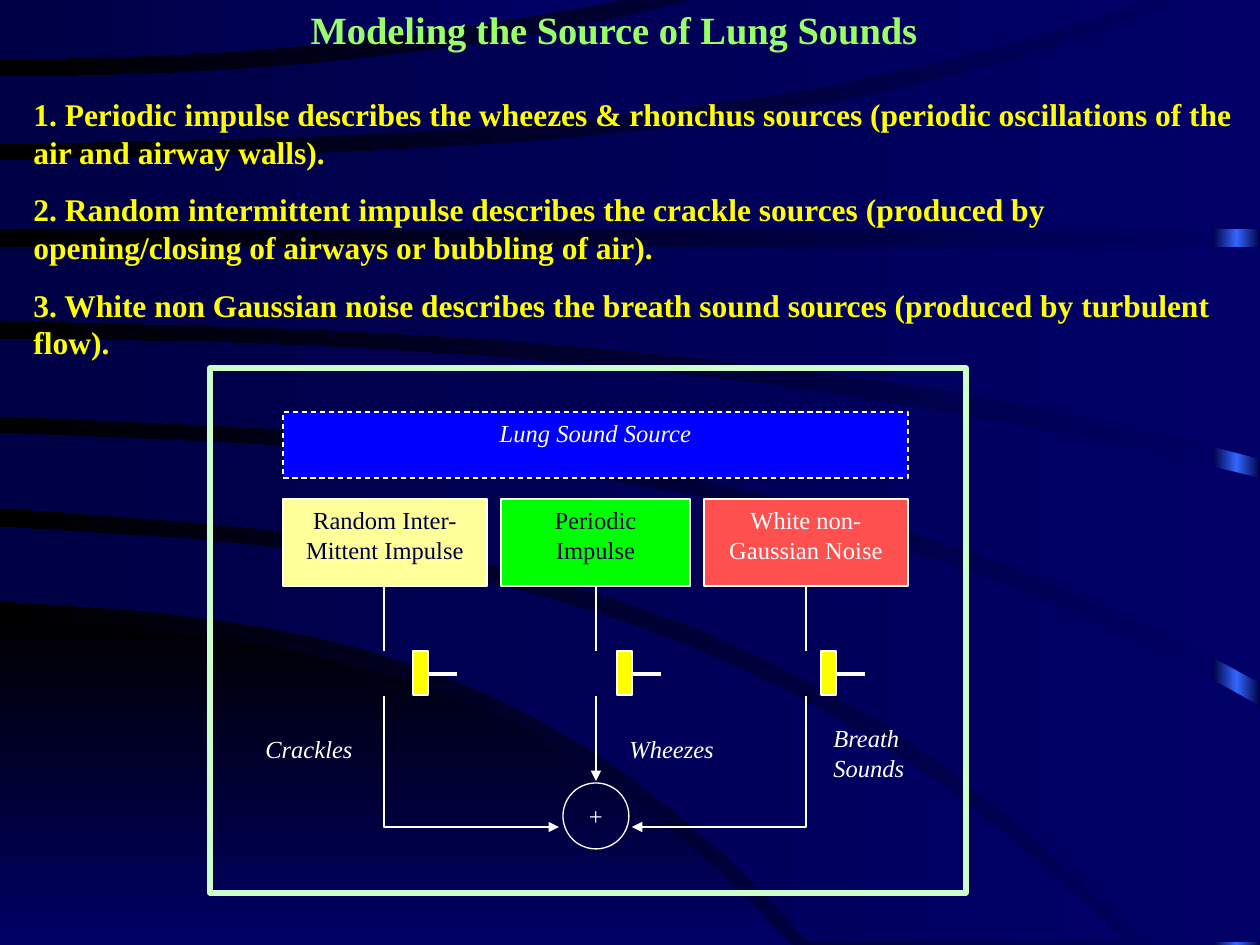
from copy import deepcopy

from pptx import Presentation
from pptx.dml.color import RGBColor
from pptx.enum.dml import MSO_LINE
from pptx.enum.shapes import MSO_CONNECTOR, MSO_SHAPE
from pptx.enum.text import MSO_ANCHOR, PP_ALIGN
from pptx.oxml.ns import qn
from pptx.util import Pt
from lxml import etree

RECT, OVAL, STRAIGHT = MSO_SHAPE.RECTANGLE, MSO_SHAPE.OVAL, MSO_CONNECTOR.STRAIGHT
DASH = MSO_LINE.DASH
TOP, MIDDLE = MSO_ANCHOR.TOP, MSO_ANCHOR.MIDDLE
LEFT, CENTER = PP_ALIGN.LEFT, PP_ALIGN.CENTER

FONT = "Times New Roman"
SCALE = 914400 / 126  # EMU in one px
W, H = 1260, 945
STEPS = 18  # straight pieces in each sweeping curve

BLACK = RGBColor(0x00, 0x00, 0x00)
WHITE = RGBColor(0xFF, 0xFF, 0xFF)
NAVY = RGBColor(0x00, 0x00, 0x66)
DARK_NAVY = RGBColor(0x00, 0x00, 0x44)
SKY = RGBColor(0x33, 0x66, 0xFF)
BLUE = RGBColor(0x00, 0x00, 0xFF)
GREEN = RGBColor(0x00, 0xFF, 0x00)
CREAM = RGBColor(0xFF, 0xFF, 0x99)
RED = RGBColor(0xFF, 0x50, 0x50)
YELLOW = RGBColor(0xFF, 0xFF, 0x00)
MINT = RGBColor(0xCC, 0xFF, 0xCC)
LIME = RGBColor(0x99, 0xFF, 0x66)

POINTS = [
    "1. Periodic impulse describes the wheezes & rhonchus sources "
    "(periodic oscillations of the air and airway walls).",
    "2. Random intermittent impulse describes the crackle sources "
    "(produced by opening/closing of airways or bubbling of air).",
    "3. White non Gaussian noise describes the breath sound sources "
    "(produced by turbulent flow).",
]


def px(n):
    return round(n * SCALE)


def curve(end, a, b, c, d):
    """Points of the cubic with heights a to d at equal steps from x = 0 to end."""
    points = []
    for i in range(STEPS + 1):
        t = 3 * i / STEPS
        y = (a + t * (b - a) + t * (t - 1) / 2 * (c - 2 * b + a)
             + t * (t - 1) * (t - 2) / 6 * (d - 3 * c + 3 * b - a))
        points.append((end * i / STEPS, y))
    return points


def flat(y, end=W):
    return [(0, y), (end, y)]


def set_gradient(fill, colors, angle):
    fill.gradient()
    fill.gradient_angle = angle
    if len(colors) == 3:
        first = fill._fill._gradFill.gsLst[0]
        first.addnext(deepcopy(first))
    for i, (stop, color) in enumerate(zip(fill.gradient_stops, colors)):
        stop.color.rgb = color
        stop.position = i / (len(colors) - 1)


def set_line(shape, color=WHITE, width=0.75, dash=None, arrow=False):
    shape.line.color.rgb = color
    shape.line.width = Pt(width)
    if dash:
        shape.line.dash_style = dash
    if arrow:
        ln = shape.line._get_or_add_ln()
        etree.SubElement(ln, qn("a:tailEnd"), type="triangle")


def set_text(shape, text, size=14, color=WHITE, bold=False, italic=False,
             align=CENTER, anchor=TOP, before=0):
    tf = shape.text_frame
    tf.word_wrap = True
    tf.vertical_anchor = anchor
    for i, line in enumerate(text.split("\n")):
        p = tf.paragraphs[0] if i == 0 else tf.add_paragraph()
        p.alignment = align
        if i and before:
            p.space_before = Pt(before)
        r = p.add_run()
        r.text = line
        r.font.name, r.font.size = FONT, Pt(size)
        r.font.bold, r.font.italic = bold, italic
        r.font.color.rgb = color


def add_box(s, x, y, w, h, fill=None, kind=RECT, **line):
    sp = s.shapes.add_shape(kind, px(x), px(y), px(w), px(h))
    sp.shadow.inherit = False
    if fill is None:
        sp.fill.background()
    else:
        sp.fill.solid()
        sp.fill.fore_color.rgb = fill
    set_line(sp, **line)
    return sp


def add_label(s, text, x, y, w, h, **fmt):
    set_text(s.shapes.add_textbox(px(x), px(y), px(w), px(h)), text, **fmt)


def add_line(s, x1, y1, x2, y2, **line):
    c = s.shapes.add_connector(STRAIGHT, px(x1), px(y1), px(x2), px(y2))
    set_line(c, **line)
    etree.SubElement(c._element.spPr, qn("a:effectLst"))


def add_outline(s, points, close=True):
    fb = s.shapes.build_freeform(*points[0], scale=SCALE)
    fb.add_line_segments(points[1:], close=close)
    sp = fb.convert_to_shape()
    sp.shadow.inherit = False
    return sp


def add_band(s, upper, lower, corner=(), colors=(NAVY, DARK_NAVY), angle=180):
    sp = add_outline(s, [*upper, *corner, *reversed(lower)])
    set_gradient(sp.fill, colors, angle)
    sp.line.fill.background()


def add_backdrop(s):
    set_gradient(s.background.fill, [NAVY, BLACK], 180)
    strip = add_box(s, 1213, 0, 47, H)
    set_gradient(strip.fill, [DARK_NAVY, SKY, DARK_NAVY], 180)
    strip.line.fill.background()

    # Hill at the bottom left, then the bands from bottom to top
    add_band(s, curve(791, 619, 646, 733, H), flat(H, 791),
             colors=(BLACK, NAVY), angle=270)
    add_band(s, curve(1125, 527, 561, 673, 942), curve(809, 601, 628, 720, 942))
    add_band(s, curve(W, 433, 457, 530, 706), curve(1145, 508, 544, 658, 942),
             corner=[(W, 942)])
    add_band(s, curve(W, 339, 352, 395, 478), curve(W, 416, 440, 512, 683))
    add_band(s, flat(247), curve(W, 321, 335, 375, 459))
    add_band(s, curve(1188, 161, 150, 110, 0), flat(229), corner=[(W, 0)])
    add_band(s, curve(695, 77, 70, 46, 0), curve(1150, 144, 133, 96, 0))
    add_band(s, flat(0, 620), curve(620, 59, 53, 34, 0))


def add_diagram(s):
    # Sources, each with a line down to its switch
    sources = [
        ("Random Inter-\nMittent Impulse", 283, 204, CREAM, DARK_NAVY, 384),
        ("Periodic\nImpulse", 501, 189, GREEN, DARK_NAVY, 596),
        ("White non-Gaussian Noise", 704, 204, RED, WHITE, 806),
    ]
    for i, (text, x, w, fill, color, axis) in enumerate(sources):
        set_text(add_box(s, x, 499, w, 87, fill), text, color=color)
        add_line(s, axis, 586, axis, 651)
        switch = 413 + 204 * i
        add_box(s, switch, 651, 15, 44, YELLOW)
        add_line(s, switch + 15, 674, switch + 44, 674, width=2.25)

    # Adder and the arrows into it
    adder = add_box(s, 563, 783, 66, 66, kind=OVAL)
    set_text(adder, "+", anchor=MIDDLE)
    add_line(s, 596, 696, 596, 781, arrow=True)
    for axis, end in [(384, 559), (806, 632)]:
        sp = add_outline(s, [(axis, 696), (axis, 827), (end, 827)], close=False)
        sp.fill.background()
        set_line(sp, arrow=True)

    # Heading, sound names and frame
    heading = add_box(s, 283, 412, 625, 66, BLUE, dash=DASH)
    set_text(heading, "Lung Sound Source", italic=True)
    for text, x, y, h in [("Crackles", 253, 728, 43), ("Wheezes", 617, 728, 44),
                          ("Breath Sounds", 821, 717, 66)]:
        add_label(s, text, x, y, 116, h, italic=True, align=LEFT)
    add_box(s, 210, 368, 756, 525, color=MINT, width=3)


def main():
    prs = Presentation()
    prs.slide_width, prs.slide_height = px(W), px(H)
    s = prs.slides.add_slide(prs.slide_layouts[6])
    add_backdrop(s)
    add_diagram(s)
    add_label(s, "Modeling the Source of Lung Sounds", 189, 0, 850, 59,
              size=22, color=LIME, bold=True)
    add_label(s, "\n".join(POINTS), 21, 89, 1239, 280,
              size=18, color=YELLOW, bold=True, align=LEFT, before=11.2)
    prs.save("out.pptx")


if __name__ == "__main__":
    main()
